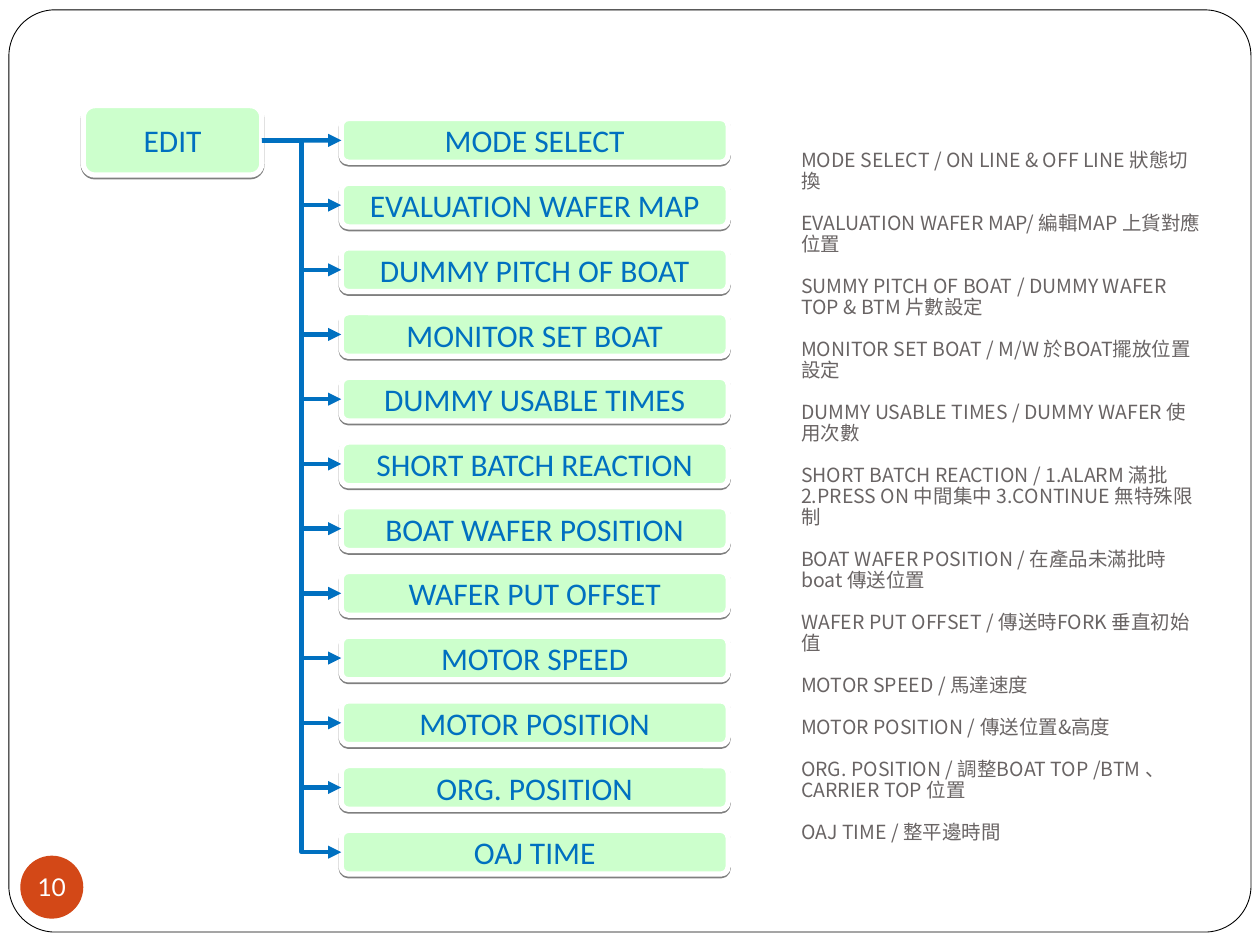
from dataclasses import dataclass

from lxml.etree import SubElement
from pptx import Presentation
from pptx.dml.color import RGBColor
from pptx.enum.shapes import MSO_CONNECTOR, MSO_SHAPE
from pptx.enum.text import MSO_ANCHOR, PP_ALIGN
from pptx.oxml.ns import qn
from pptx.shapes.autoshape import Shape
from pptx.slide import Slide
from pptx.text.text import _Paragraph
from pptx.util import Cm, Pt

COLOURS = {
    "white": "FFFFFF",
    "black": "000000",
    "badge": "D34817",
    "box": "CCFFCC",
    "blue": "0070C0",
    "grey": "696464",
}
FIRST_TOP, LAST_TOP = 2.39, 16.74
LEFT_SITE, RIGHT_SITE = 1, 3


@dataclass(frozen=True)
class Area:
    """A rectangle in centimetres."""

    left: float
    top: float
    width: float
    height: float

    def lengths(self) -> tuple[Cm, Cm, Cm, Cm]:
        """Return the four lengths as python-pptx expects them."""
        return Cm(self.left), Cm(self.top), Cm(self.width), Cm(self.height)


@dataclass(frozen=True)
class Command:
    """An entry of the EDIT menu with its explanation."""

    label: str
    note: str


COMMANDS = [
    Command("MODE SELECT", "MODE SELECT / ON LINE & OFF LINE 狀態切換"),
    Command("EVALUATION WAFER MAP", "EVALUATION WAFER MAP/ 編輯MAP 上貨對應位置"),
    Command("DUMMY PITCH OF BOAT", "SUMMY PITCH OF BOAT / DUMMY WAFER TOP & BTM 片數設定"),
    Command("MONITOR SET BOAT", "MONITOR SET BOAT / M/W 於BOAT擺放位置設定"),
    Command("DUMMY USABLE TIMES", "DUMMY USABLE TIMES / DUMMY WAFER 使用次數"),
    Command(
        "SHORT BATCH REACTION",
        "SHORT BATCH REACTION / 1.ALARM 滿批 2.PRESS ON 中間集中 3.CONTINUE 無特殊限制",
    ),
    Command("BOAT WAFER POSITION", "BOAT WAFER POSITION / 在產品未滿批時boat 傳送位置"),
    Command("WAFER PUT OFFSET", "WAFER PUT OFFSET / 傳送時FORK 垂直初始值"),
    Command("MOTOR SPEED", "MOTOR SPEED / 馬達速度"),
    Command("MOTOR POSITION", "MOTOR POSITION / 傳送位置&高度"),
    Command("ORG. POSITION", "ORG. POSITION / 調整BOAT TOP /BTM 、CARRIER TOP 位置"),
    Command("OAJ TIME", "OAJ TIME / 整平邊時間"),
]


def colour(name: str) -> RGBColor:
    """Look up a named colour."""
    return RGBColor.from_string(COLOURS[name])


def add_span(para: _Paragraph, text: str, size: float, font: str, ink: str) -> None:
    """Append a styled run to a paragraph."""
    span = para.add_run()
    span.text = text
    span.font.size = Pt(size)
    span.font.name = font
    span.font.color.rgb = colour(ink)
    SubElement(span.font._element, qn("a:ea"), typeface=font)


def add_panel(page: Slide, kind: MSO_SHAPE, area: Area, fill: str) -> Shape:
    """Add a flat filled shape without outline."""
    panel = page.shapes.add_shape(kind, *area.lengths())
    panel.shadow.inherit = False
    panel.fill.solid()
    panel.fill.fore_color.rgb = colour(fill)
    panel.line.fill.background()
    return panel


def add_outline(panel: Shape, ink: str, width: float) -> None:
    """Outline a shape."""
    panel.line.color.rgb = colour(ink)
    panel.line.width = Pt(width)


def add_label(panel: Shape, text: str, size: float, font: str, ink: str) -> None:
    """Write a centred label in a shape."""
    panel.text_frame.vertical_anchor = MSO_ANCHOR.MIDDLE
    para = panel.text_frame.paragraphs[0]
    para.alignment = PP_ALIGN.CENTER
    add_span(para, text, size, font, ink)


def add_menu_box(page: Slide, area: Area, text: str) -> Shape:
    """Add a green menu box with a thin shadow below."""
    box = add_panel(page, MSO_SHAPE.FLOWCHART_ALTERNATE_PROCESS, area, "box")
    add_outline(box, "white", 3)
    effects = box._element.spPr.find(qn("a:effectLst"))
    shadow = SubElement(
        effects, qn("a:outerShdw"), blurRad="0", dist=str(Pt(1)), dir="5400000", rotWithShape="0"
    )
    tint = SubElement(shadow, qn("a:srgbClr"), val=COLOURS["black"])
    SubElement(tint, qn("a:alpha"), val="50000")
    add_label(box, text, 18, "Calibri", "blue")
    return box


def add_arrow(page: Slide, kind: MSO_CONNECTOR, source: Shape, target: Shape) -> None:
    """Connect two boxes with an arrow."""
    arrow = page.shapes.add_connector(kind, 0, 0, 0, 0)
    arrow.begin_connect(source, RIGHT_SITE)
    arrow.end_connect(target, LEFT_SITE)
    add_outline(arrow, "blue", 2.5)
    SubElement(arrow.line._get_or_add_ln(), qn("a:tailEnd"), type="triangle")
    SubElement(arrow._element.spPr, qn("a:effectLst"))


def add_frame(page: Slide) -> None:
    """Draw the rounded page border and the page number."""
    frame = add_panel(page, MSO_SHAPE.ROUNDED_RECTANGLE, Area(0.18, 0.2, 25.04, 18.59), "white")
    frame.adjustments[0] = 0.05
    add_outline(frame, "black", 0.5)
    badge = add_panel(page, MSO_SHAPE.OVAL, Area(0.41, 17.25, 1.27, 1.27), "badge")
    inside = badge.text_frame
    inside.margin_left = inside.margin_right = inside.margin_top = inside.margin_bottom = 0
    inside.word_wrap = False
    add_label(badge, "10", 14, "Lato", "white")


def add_menu(page: Slide) -> None:
    """Draw the EDIT box, its entries and the arrows to them."""
    edit = add_menu_box(page, Area(1.68, 2.13, 3.6, 1.4), "EDIT")
    pitch = (LAST_TOP - FIRST_TOP) / (len(COMMANDS) - 1)
    boxes = [
        add_menu_box(page, Area(6.88, FIRST_TOP + row * pitch, 7.8, 0.88), command.label)
        for row, command in enumerate(COMMANDS)
    ]
    for row, box in enumerate(boxes):
        add_arrow(page, MSO_CONNECTOR.ELBOW if row else MSO_CONNECTOR.STRAIGHT, edit, box)


def add_notes_column(page: Slide) -> None:
    """Write the explanations of all entries."""
    column = page.shapes.add_textbox(*Area(15.9, 1.52, 8.61, 17).lengths()).text_frame
    column.word_wrap = True
    column.vertical_anchor = MSO_ANCHOR.MIDDLE
    for row, command in enumerate(COMMANDS):
        para = column.add_paragraph() if row else column.paragraphs[0]
        para.line_spacing = Pt(12)
        para.space_before = Pt(12 if row else 0)
        add_span(para, command.note, 11.1, "Noto Sans CJK SC", "grey")


def main() -> None:
    """Build the deck."""
    deck = Presentation()
    deck.slide_width, deck.slide_height = Cm(25.4), Cm(19.05)
    page = deck.slides.add_slide(deck.slide_layouts[6])
    add_frame(page)
    add_menu(page)
    add_notes_column(page)
    deck.save("out.pptx")


if __name__ == "__main__":
    main()
